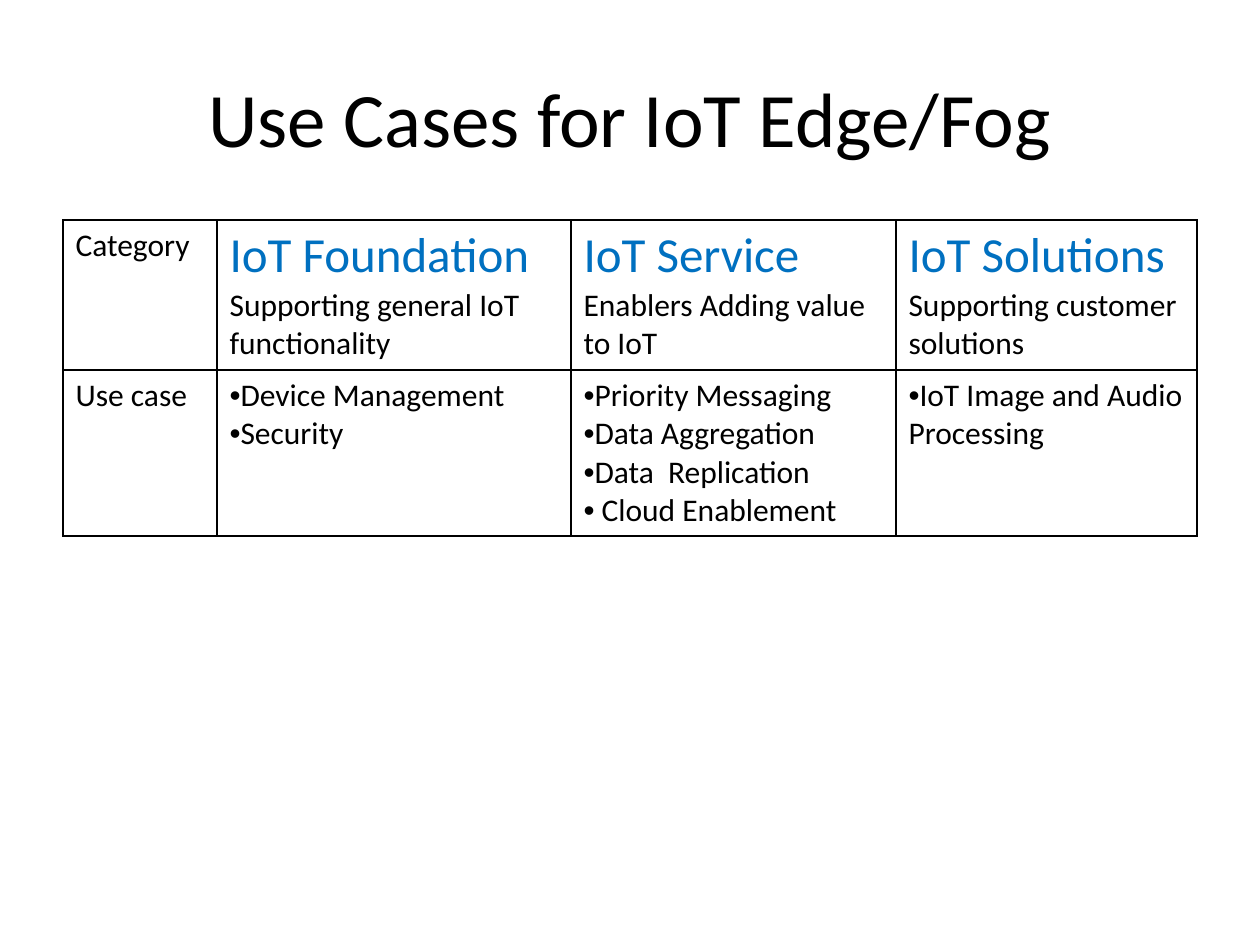
from lxml.etree import SubElement
from pptx import Presentation
from pptx.dml.color import RGBColor
from pptx.enum.text import MSO_ANCHOR, PP_ALIGN
from pptx.oxml.ns import qn
from pptx.util import Pt

PX = 914400 / 126
FONT = "Calibri"
COLORS = {"text": "000000", "heading": "0070C0", "border": "000000"}

COLUMN_WIDTHS = [154, 354, 325, 301]
ROW_HEIGHTS = [150, 166]
# Each category is a list of paragraphs, each a list of (text, size, color).
CATEGORIES = [
    [[("IoT Foundation ", 28, "heading"),
      ("Supporting general IoT functionality", 18, "text")]],
    [[("IoT Service", 28, "heading")],
     [("Enablers Adding value to IoT", 18, "text")]],
    [[("IoT Solutions ", 28, "heading"),
      ("Supporting customer solutions", 18, "text")]],
]
USE_CASES = [
    ["Device Management", "Security"],
    ["Priority Messaging", "Data Aggregation", "Data  Replication", " Cloud Enablement"],
    ["IoT Image and Audio Processing"],
]


def px(length):
    return round(length * PX)


def style(font, size, color="text"):
    font.name = FONT
    font.size = Pt(size)
    font.color.rgb = RGBColor.from_string(COLORS[color])


def add_title(page, left, top, width, height):
    box = page.shapes.add_textbox(px(left), px(top), px(width), px(height))
    frame = box.text_frame
    frame.word_wrap = True
    frame.vertical_anchor = MSO_ANCHOR.MIDDLE
    para = frame.paragraphs[0]
    para.text = "Use Cases for IoT Edge/Fog"
    para.alignment = PP_ALIGN.CENTER
    style(para.font, 44)


def add_borders(cell):
    properties = cell._tc.get_or_add_tcPr()
    for side in ("a:lnL", "a:lnR", "a:lnT", "a:lnB"):
        line = SubElement(properties, qn(side), w=str(Pt(1)))
        fill = SubElement(line, qn("a:solidFill"))
        SubElement(fill, qn("a:srgbClr"), val=COLORS["border"])


def add_bullet(para):
    properties = para._p.get_or_add_pPr()
    properties.set("marL", "0")
    properties.set("indent", "0")
    SubElement(properties, qn("a:buFont"), typeface="Arial")
    SubElement(properties, qn("a:buChar"), char="•")


def fill_cell(cell, paragraphs, bulleted=False):
    add_borders(cell)
    cell.fill.background()
    frame = cell.text_frame
    for index, spans in enumerate(paragraphs):
        para = frame.add_paragraph() if index else frame.paragraphs[0]
        if bulleted:
            add_bullet(para)
        for text, size, color in spans:
            span = para.add_run()
            span.text = text
            style(span.font, size, color)


def add_use_case_table(page, left, top):
    table = page.shapes.add_table(
        len(ROW_HEIGHTS), len(COLUMN_WIDTHS), px(left), px(top),
        px(sum(COLUMN_WIDTHS)), px(sum(ROW_HEIGHTS))).table
    table.first_row = table.horz_banding = False
    for column, width in zip(table.columns, COLUMN_WIDTHS):
        column.width = px(width)
    for row, height in zip(table.rows, ROW_HEIGHTS):
        row.height = px(height)

    for row, label in enumerate(["Category", "Use case"]):
        fill_cell(table.cell(row, 0), [[(label, 18, "text")]])
    for column, (category, cases) in enumerate(zip(CATEGORIES, USE_CASES), start=1):
        fill_cell(table.cell(0, column), category)
        items = [[(case, 18, "text")] for case in cases]
        fill_cell(table.cell(1, column), items, bulleted=True)


def main():
    deck = Presentation()
    deck.slide_width, deck.slide_height = px(1260), px(945)
    page = deck.slides.add_slide(deck.slide_layouts[6])
    add_title(page, 63, 38, 1134, 157)
    add_use_case_table(page, 63, 220)
    deck.save("out.pptx")


if __name__ == "__main__":
    main()
